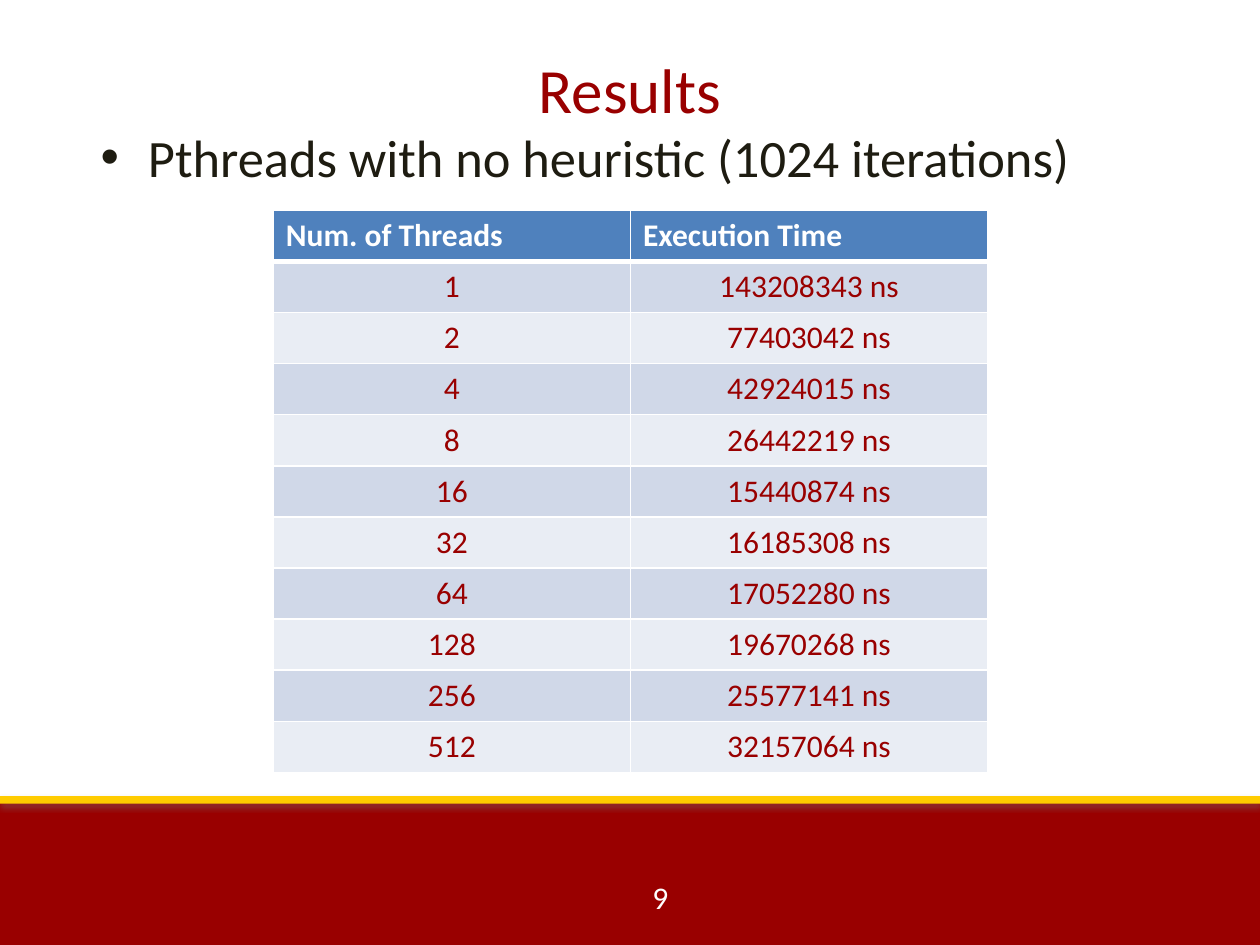
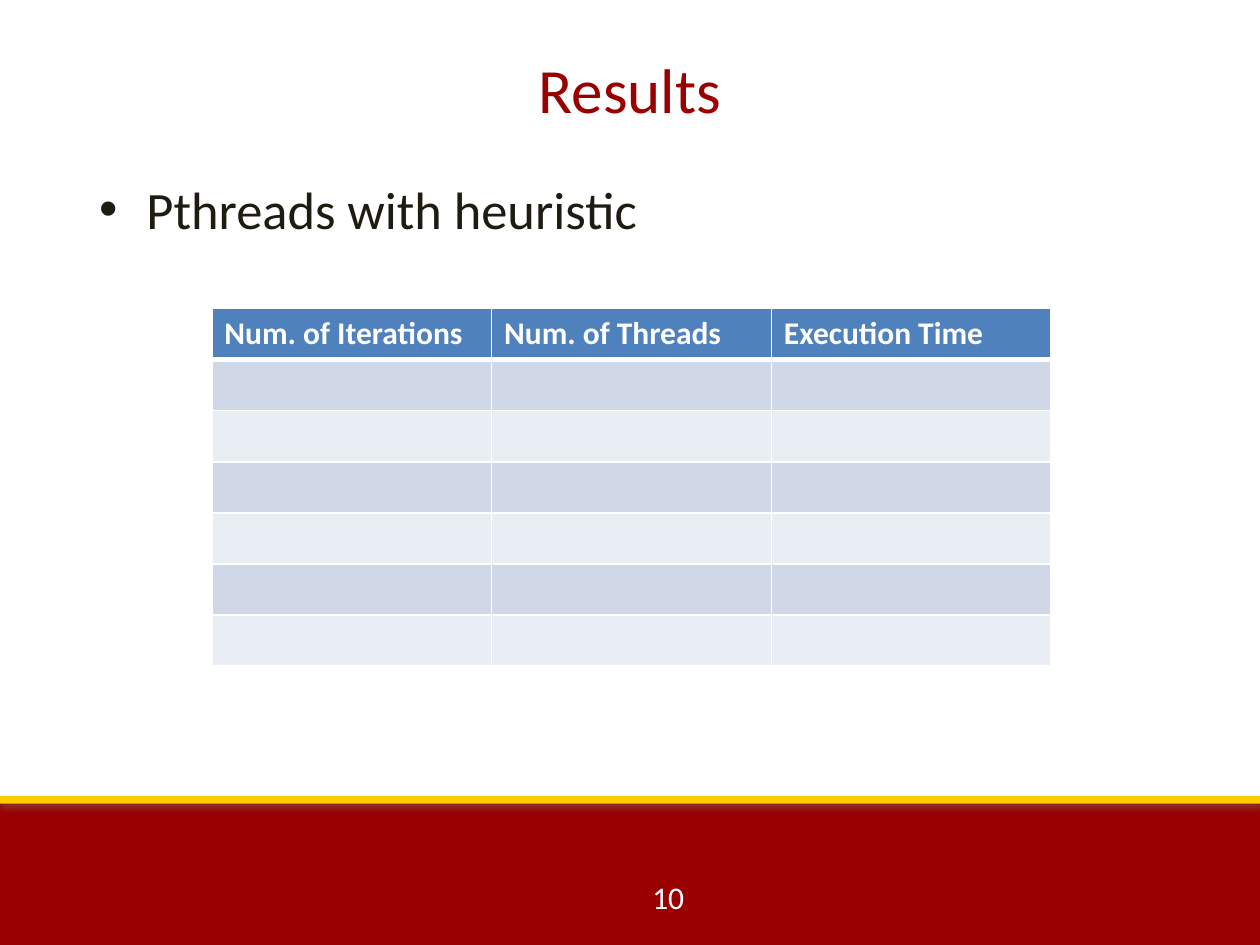
from lxml.etree import SubElement
from pptx import Presentation
from pptx.dml.color import RGBColor as Rgb
from pptx.enum.shapes import MSO_SHAPE as Preset
from pptx.enum.text import MSO_ANCHOR as Anchor, PP_ALIGN as Align
from pptx.oxml.ns import qn
from pptx.util import Cm, Pt

COLOURS = {
    "cardinal": "990000",
    "gold": "FFCC00",
    "white": "FFFFFF",
    "ink": "1E1C11",
    "header": "4F81BD",
    "odd row": "D0D8E8",
    "even row": "E9EDF4",
    "shadow": "808080",
}
FONT = "Calibri"
WIDTH, HEIGHT = 25.4, 19.05
ROW_HEIGHT = 1.03
TIMES = [143208343, 77403042, 42924015, 26442219, 15440874,
         16185308, 17052280, 19670268, 25577141, 32157064]


def add_xml(parent, tag, **attributes):
    values = {name: str(value) for name, value in attributes.items()}
    return SubElement(parent, qn(tag), values)


class ResultsDeck:
    def __init__(self):
        self.deck = Presentation()
        self.deck.slide_width, self.deck.slide_height = Cm(WIDTH), Cm(HEIGHT)
        self.page = None

    def new_page(self, title, number):
        self.page = self.deck.slides.add_slide(self.deck.slide_layouts[6])
        self.band(16.13, 2.92, "cardinal", 35)
        self.band(16.05, 0.15, "gold", 38)
        self.text(str(number), 12.9, 17.58, 1.27, 1.02, 18, "white")
        self.text(title, 1.75, 0.84, 21.9, 2.59, 36, "cardinal", Align.CENTER, 0.18)

    def band(self, top, height, colour, opacity):
        band = self.page.shapes.add_shape(
            Preset.RECTANGLE, Cm(0), Cm(top), Cm(WIDTH), Cm(height))
        band.fill.solid()
        band.fill.fore_color.rgb = Rgb.from_string(COLOURS[colour])
        band.line.fill.background()
        band.shadow.inherit = False
        effects = band._element.spPr.find(qn("a:effectLst"))
        shadow = add_xml(effects, "a:outerShdw", blurRad=Pt(3.1), dist=Pt(1.8),
                         dir=5400000, rotWithShape=0)
        tint = add_xml(shadow, "a:srgbClr", val=COLOURS["shadow"])
        add_xml(tint, "a:alpha", val=opacity * 1000)

    def add_span(self, para, words, size, colour, bold=False):
        span = para.add_run()
        span.text = words
        span.font.name, span.font.size, span.font.bold = FONT, Pt(size), bold
        span.font.color.rgb = Rgb.from_string(COLOURS[colour])

    def text(self, words, left, top, width, height, size, colour,
             align=Align.LEFT, inset=0.13):
        box = self.page.shapes.add_textbox(Cm(left), Cm(top), Cm(width), Cm(height))
        frame = box.text_frame
        frame.word_wrap = True
        frame.vertical_anchor = Anchor.TOP
        frame.margin_top = Cm(inset)
        para = frame.paragraphs[0]
        para.alignment = align
        self.add_span(para, words, size, colour)
        return para

    def bullet(self, words, left, top):
        para = self.text(words, left, top, 21.97, 12.7, 30, "ink", inset=0.18)
        properties = para._p.get_or_add_pPr()
        properties.set("marL", str(Cm(0.95)))
        properties.set("indent", str(Cm(-0.95)))
        add_xml(properties, "a:buFont", typeface="Arial")
        add_xml(properties, "a:buChar", char="•")

    def borders(self, cell, widths):
        properties = cell._tc.get_or_add_tcPr()
        for side, points in widths.items():
            line = add_xml(properties, f"a:ln{side}", w=Pt(points))
            fill = add_xml(line, "a:solidFill")
            add_xml(fill, "a:srgbClr", val=COLOURS["white"])

    def table(self, headings, rows, left, top, column_width):
        records = [headings, *rows]
        frame = self.page.shapes.add_table(
            len(records), len(headings), Cm(left), Cm(top),
            Cm(column_width * len(headings)), Cm(ROW_HEIGHT * len(records)))
        table = frame.table
        table.horz_banding = False
        for column in table.columns:
            column.width = Cm(column_width)
        for index, record in enumerate(records):
            table.rows[index].height = Cm(ROW_HEIGHT)
            heading = index == 0
            fill = "header" if heading else "odd row" if index % 2 else "even row"
            widths = {"L": 1, "R": 1, "T": 3 if index == 1 else 1,
                      "B": 3 if heading else 1}
            for place, words in enumerate(record):
                cell = table.cell(index, place)
                self.borders(cell, widths)
                cell.fill.solid()
                cell.fill.fore_color.rgb = Rgb.from_string(COLOURS[fill])
                para = cell.text_frame.paragraphs[0]
                para.alignment = Align.LEFT if heading else Align.CENTER
                if words:
                    self.add_span(para, words, 18, "white" if heading else "cardinal", heading)


def main():
    results = ResultsDeck()

    results.new_page("Results", 9)
    results.bullet("Pthreads with no heuristic (1024 iterations)", 1.78, 2.34)
    timings = [(str(2 ** power), f"{time} ns") for power, time in enumerate(TIMES)]
    results.table(["Num. of Threads", "Execution Time"], timings, 5.51, 4.24, 7.2)

    results.new_page("Results", 10)
    results.bullet("Pthreads with heuristic", 1.75, 3.38)
    headings = ["Num. of Iterations", "Num. of Threads", "Execution Time"]
    results.table(headings, [[""] * 3] * 6, 4.27, 6.22, 5.64)

    results.deck.save("out.pptx")


if __name__ == "__main__":
    main()
